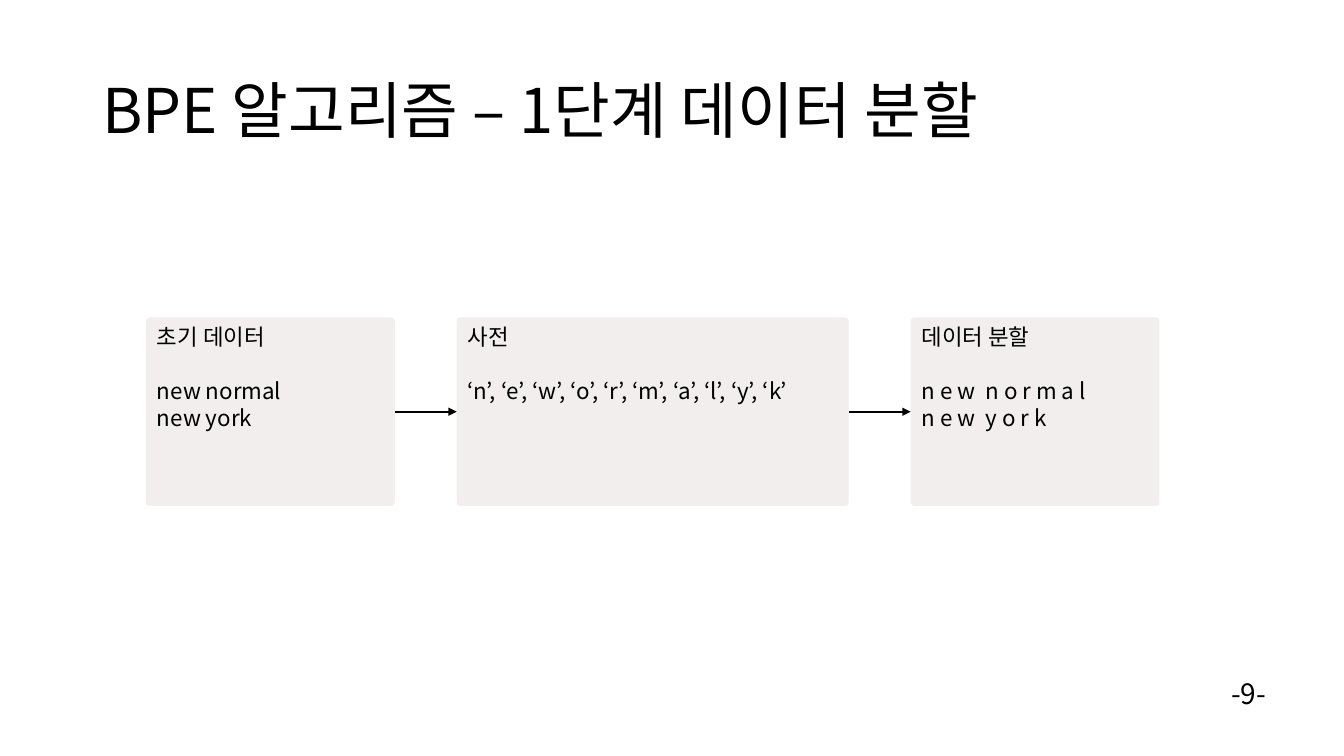
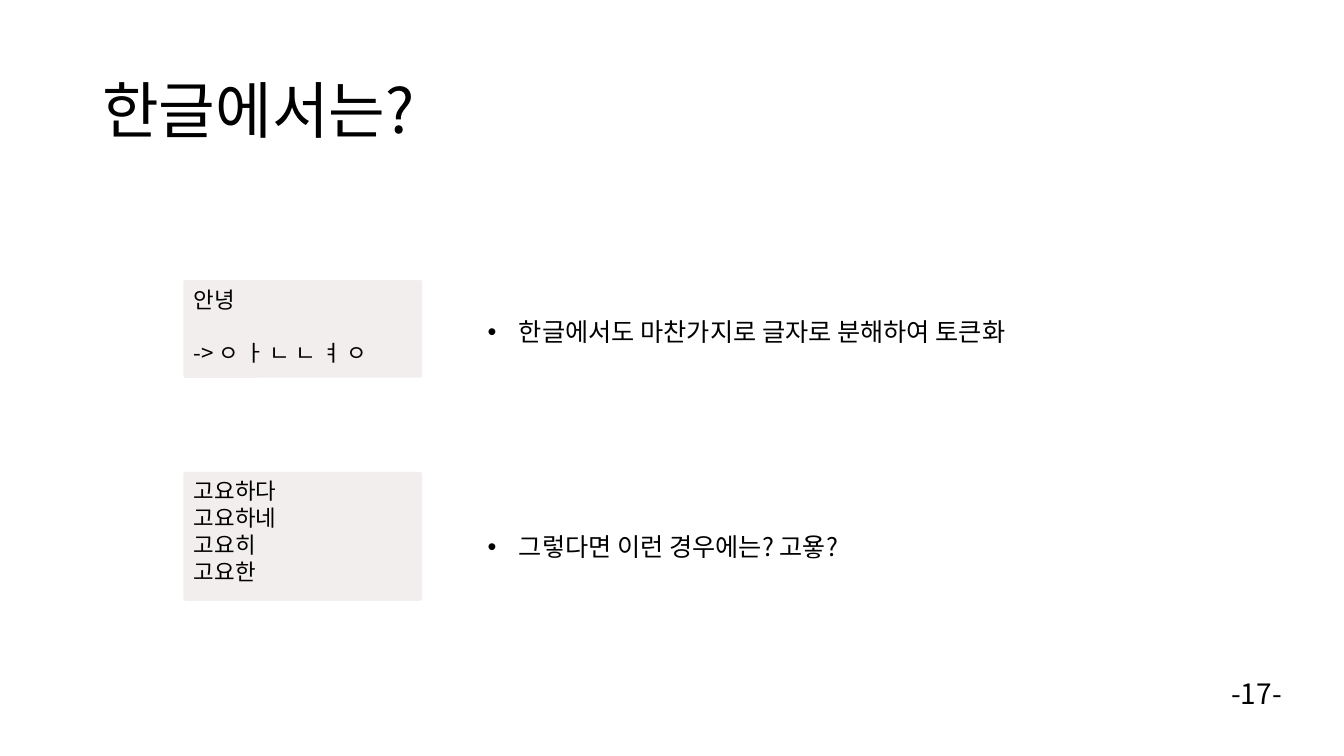
from pptx import Presentation
from pptx.dml.color import RGBColor
from pptx.enum.shapes import MSO_CONNECTOR, MSO_SHAPE
from pptx.enum.text import MSO_ANCHOR, PP_ALIGN
from pptx.oxml.ns import qn
from pptx.util import Cm, Pt
from lxml.etree import SubElement

RIGHT_SITE, LEFT_SITE = 3, 1  # connection sites of a rounded rectangle


def color(hex_text):
    return RGBColor.from_string(hex_text)


class Deck:
    FONT = "Noto Sans CJK KR"
    INK = "000000"
    PANEL = "F2EEEE"
    BULLET_INDENT = Cm(0.79)
    HEADING_GAP = Pt(19.3)  # one line of panel text

    def __init__(self):
        self.prs = Presentation()
        self.prs.slide_width, self.prs.slide_height = Cm(33.87), Cm(19.05)
        self.slide = None

    def add_slide(self, title, page):
        self.slide = self.prs.slides.add_slide(self.prs.slide_layouts[6])
        self.text(title, 2.33, 1.01, 29.21, 3.68, 44, 0.9, MSO_ANCHOR.MIDDLE)
        self.text(f"-{page}-", 30.78, 16.92, 2.5, 1.12, 20)

    def style(self, paragraph, size):
        font = paragraph.font
        font.size, font.name = Pt(size), self.FONT
        font.color.rgb = color(self.INK)
        # Korean letters take the East Asian typeface
        defaults = paragraph._p.pPr.find(qn("a:defRPr"))
        SubElement(defaults, qn("a:ea"), typeface=self.FONT)

    def text(self, words, left, top, width, height, size,
             spacing=None, anchor=MSO_ANCHOR.TOP):
        box = self.slide.shapes.add_textbox(Cm(left), Cm(top), Cm(width), Cm(height))
        frame = box.text_frame
        frame.word_wrap, frame.vertical_anchor = True, anchor
        paragraph = frame.paragraphs[0]
        paragraph.text = words
        if spacing:
            paragraph.line_spacing = spacing
        self.style(paragraph, size)
        return paragraph

    def bullet(self, words, left, top, width):
        paragraph = self.text(words, left, top, width, 1.27, 18, 1.5)
        props = paragraph._p.pPr
        props.set("marL", str(self.BULLET_INDENT))
        props.set("indent", str(-self.BULLET_INDENT))
        defaults = props.find(qn("a:defRPr"))
        for tag, key, value in (("a:buFont", "typeface", "Arial"),
                                ("a:buChar", "char", "•")):
            defaults.addprevious(SubElement(props, qn(tag), {key: value}))

    def panel(self, lines, left, top, width, height, heading=None):
        panel = self.slide.shapes.add_shape(
            MSO_SHAPE.ROUNDED_RECTANGLE, Cm(left), Cm(top), Cm(width), Cm(height))
        panel.adjustments[0] = 0.02
        panel.shadow.inherit = False
        panel.fill.solid()
        panel.fill.fore_color.rgb = color(self.PANEL)
        panel.line.fill.background()
        frame = panel.text_frame
        frame.word_wrap, frame.vertical_anchor = True, MSO_ANCHOR.TOP
        frame.text = "\n".join([heading, *lines] if heading else lines)
        for paragraph in frame.paragraphs:
            paragraph.alignment = PP_ALIGN.LEFT
            self.style(paragraph, 16)
        if heading:
            frame.paragraphs[0].space_after = self.HEADING_GAP
        return panel

    def arrow(self, source, target):
        arrow = self.slide.shapes.add_connector(MSO_CONNECTOR.STRAIGHT, 0, 0, 0, 0)
        arrow.begin_connect(source, RIGHT_SITE)
        arrow.end_connect(target, LEFT_SITE)
        arrow.line.color.rgb = color(self.INK)
        arrow.line.width = Pt(1.5)
        SubElement(arrow.line._get_or_add_ln(), qn("a:tailEnd"), type="triangle")
        SubElement(arrow._element.spPr, qn("a:effectLst"))


def splitting_slide(deck):
    deck.add_slide("BPE 알고리즘 – 1단계 데이터 분할", 9)
    # Three steps from left to right, joined by arrows
    vocabulary = ", ".join(f"‘{letter}’" for letter in "newormalyk")
    steps = [
        ("초기 데이터", ["new normal", "new york"], 6.27),
        ("사전", [vocabulary], 9.88),
        ("데이터 분할", ["n e w  n o r m a l", "n e w  y o r k"], 6.27),
    ]
    left, gap, previous = 3.68, 1.56, None
    for heading, lines, width in steps:
        step = deck.panel(lines, left, 8, width, 4.75, heading)
        if previous:
            deck.arrow(previous, step)
        previous = step
        left += width + gap


def korean_slide(deck):
    deck.add_slide("한글에서는?", 17)
    # Each example with its remark at the right
    example_left, example_width, remark_left, remark_width = 4.62, 6.02, 12.04, 18
    deck.panel(["-> ㅇ ㅏ ㄴ ㄴ ㅕ ㅇ"], example_left, 7.06, example_width, 2.46, "안녕")
    deck.bullet("한글에서도 마찬가지로 글자로 분해하여 토큰화", remark_left, 7.47, remark_width)
    deck.panel(["고요하다", "고요하네", "고요히", "고요한"],
               example_left, 11.89, example_width, 3.25)
    deck.bullet("그렇다면 이런 경우에는? 고욯?", remark_left, 12.88, remark_width)


def main():
    deck = Deck()
    splitting_slide(deck)
    korean_slide(deck)
    deck.prs.save("out.pptx")


if __name__ == "__main__":
    main()
